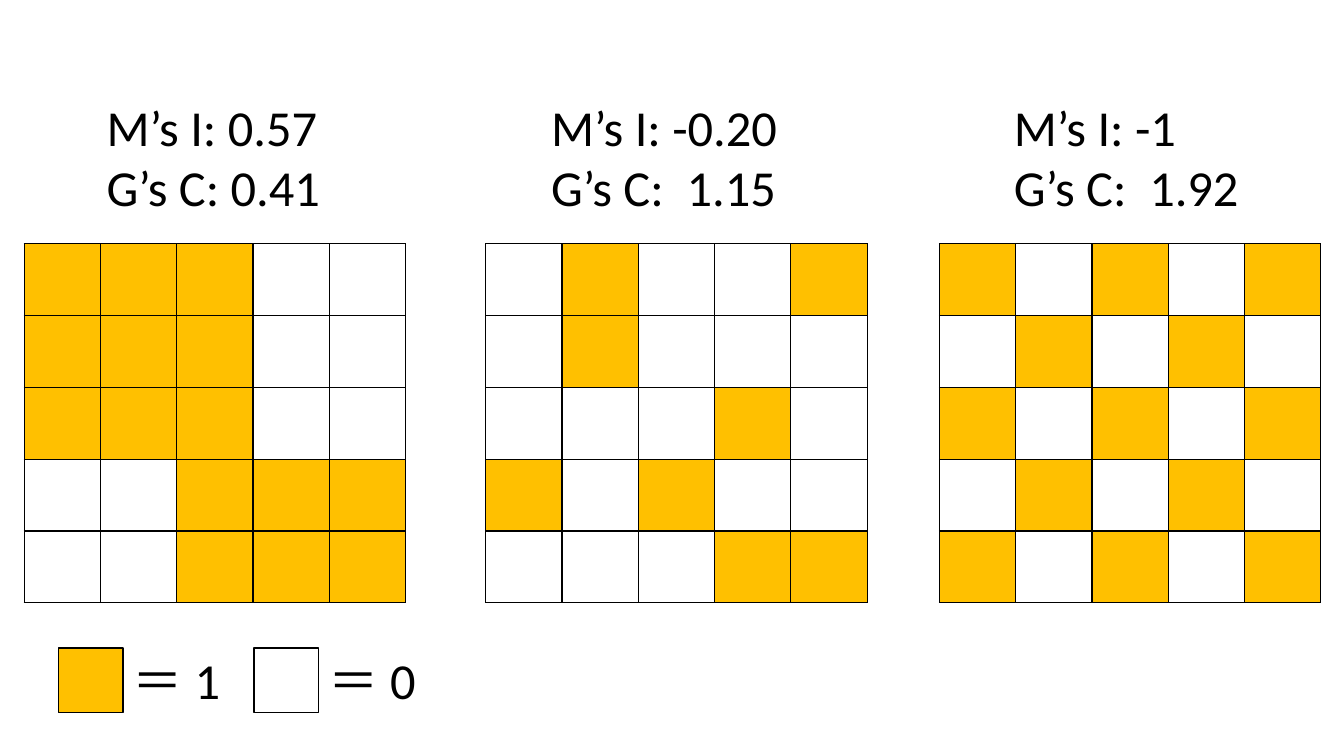
from dataclasses import dataclass
from lxml.etree import SubElement
from pptx import Presentation
from pptx.dml.color import RGBColor
from pptx.enum.shapes import MSO_SHAPE as Preset
from pptx.oxml.ns import qn
from pptx.util import Pt


@dataclass(frozen=True)
class Theme:
    one: RGBColor = RGBColor(0xFF, 0xC0, 0x00)
    zero: RGBColor = RGBColor(0xFF, 0xFF, 0xFF)
    ink: RGBColor = RGBColor(0, 0, 0)
    font: str = "Calibri"
    size: int = 36
    line: int = 1


THEME = Theme()

GRID_TOP, GRID_WIDTH, GRID_HEIGHT = 174.2, 272.5, 256.5
STATS_RISE = 109.4  # from the top of the statistics to the top of the grid

# Grid left, statistics indent and width, statistics, cell values
PATTERNS = [
    (17.3, 51.8, 170, ["M’s I: 0.57", "G’s C: 0.41"],
     ["11100", "11100", "11100", "00111", "00111"]),
    (347, 39.6, 192, ["M’s I: -0.20", "G’s C:  1.15"],
     ["01001", "01000", "00010", "10100", "00011"]),
    (671, 46.1, 181, ["M’s I: -1", "G’s C:  1.92"],
     ["10101", "01010", "10101", "01010", "10101"]),
]


def add_text(slide, left, top, width, height, lines):
    frame = slide.shapes.add_textbox(Pt(left), Pt(top), Pt(width), Pt(height)).text_frame
    frame.word_wrap = True
    frame.text = "\n".join(lines)
    for line in frame.paragraphs:
        line.font.name = THEME.font
        line.font.size = Pt(THEME.size)
        line.font.color.rgb = THEME.ink


def outline_cell(cell):
    properties = cell._tc.get_or_add_tcPr()
    for side in ("a:lnL", "a:lnR", "a:lnT", "a:lnB"):
        border = SubElement(properties, qn(side), w=str(Pt(THEME.line)))
        fill = SubElement(border, qn("a:solidFill"))
        SubElement(fill, qn("a:srgbClr"), val=str(THEME.ink))


def add_grid(slide, left, top, width, height, rows):
    size = len(rows)
    grid = slide.shapes.add_table(
        size, size, Pt(left), Pt(top), Pt(width), Pt(height)).table
    grid.first_row = grid.horz_banding = False
    for column in grid.columns:
        column.width = Pt(width / size)
    for row, values in zip(grid.rows, rows):
        row.height = Pt(height / size)
        for cell, value in zip(row.cells, values):
            outline_cell(cell)
            if value == "1":
                cell.fill.solid()
                cell.fill.fore_color.rgb = THEME.one
            else:
                cell.fill.background()


def add_pattern(slide, left, top, width, height, indent, stats_width, stats, rows):
    add_grid(slide, left, top, width, height, rows)
    add_text(slide, left + indent, top - STATS_RISE, stats_width, 94.3, stats)


def add_legend(slide, left, top, side, step):
    for index, (color, meaning) in enumerate([(THEME.one, "＝ 1"), (THEME.zero, "＝ 0")]):
        swatch_left = left + index * step
        swatch = slide.shapes.add_shape(
            Preset.RECTANGLE, Pt(swatch_left), Pt(top), Pt(side), Pt(side))
        swatch.shadow.inherit = False
        swatch.fill.solid()
        swatch.fill.fore_color.rgb = color
        swatch.line.color.rgb = THEME.ink
        swatch.line.width = Pt(THEME.line)
        add_text(slide, swatch_left + side, top - 2.9, 114.5, 51, [meaning])


def main():
    deck = Presentation()
    deck.slide_width, deck.slide_height = Pt(960), Pt(540)
    slide = deck.slides.add_slide(deck.slide_layouts[6])

    # Spatial patterns with their statistics above
    for left, indent, stats_width, stats, rows in PATTERNS:
        add_pattern(slide, left, GRID_TOP, GRID_WIDTH, GRID_HEIGHT,
                    indent, stats_width, stats, rows)

    # Meaning of the two cell colours
    add_legend(slide, 41.8, 463, 46.1, 139.6)
    deck.save("out.pptx")


if __name__ == "__main__":
    main()
